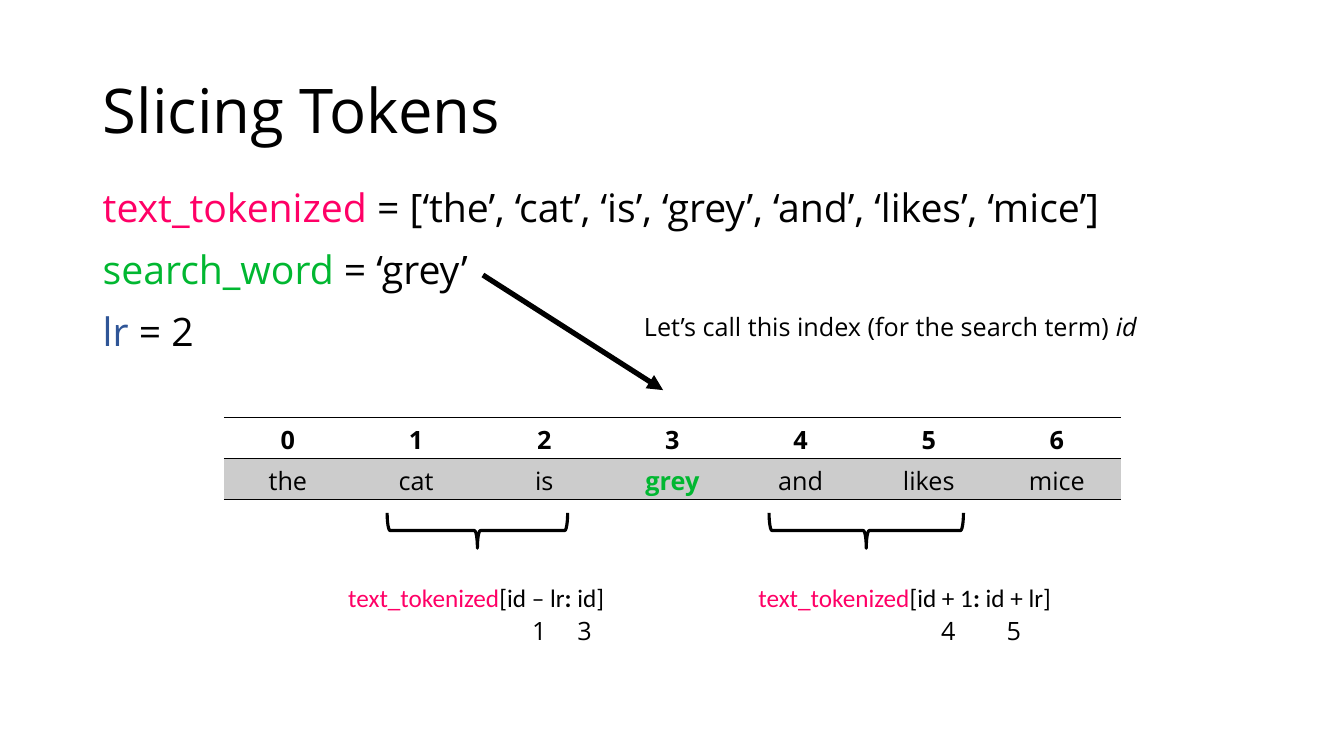
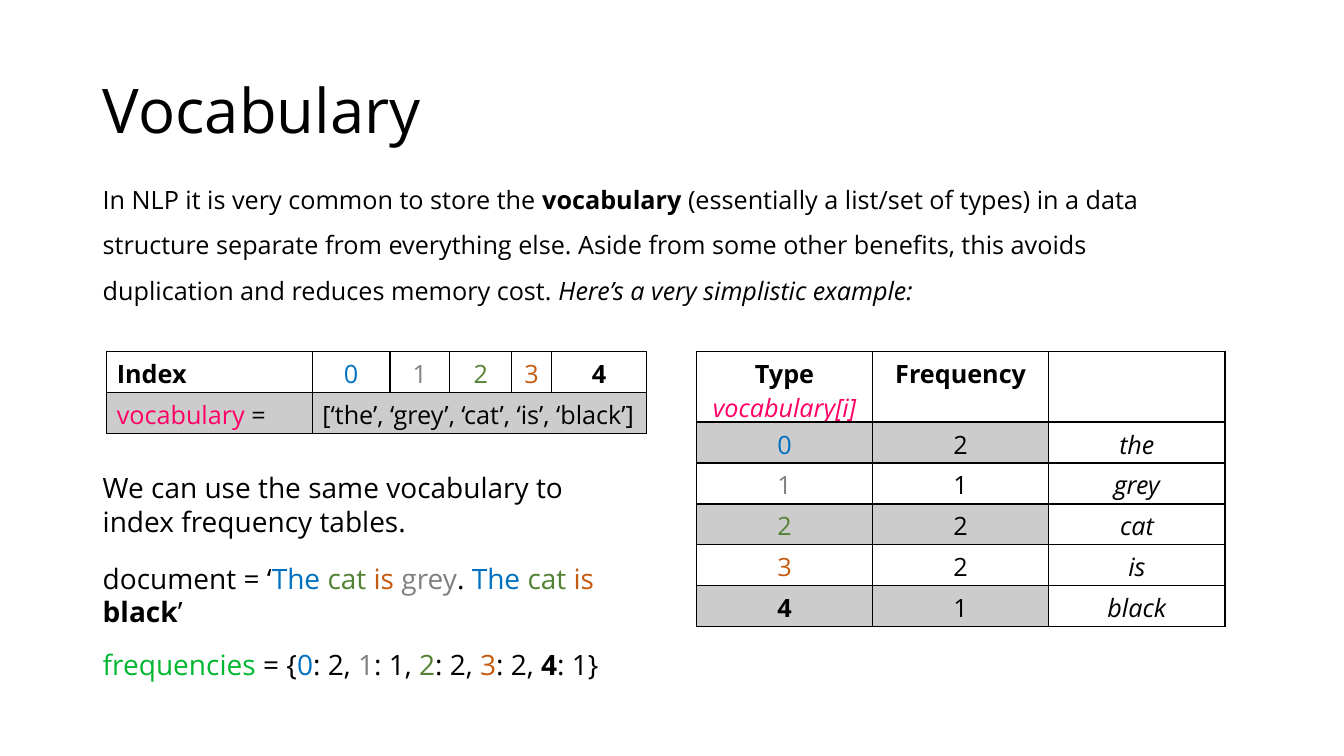
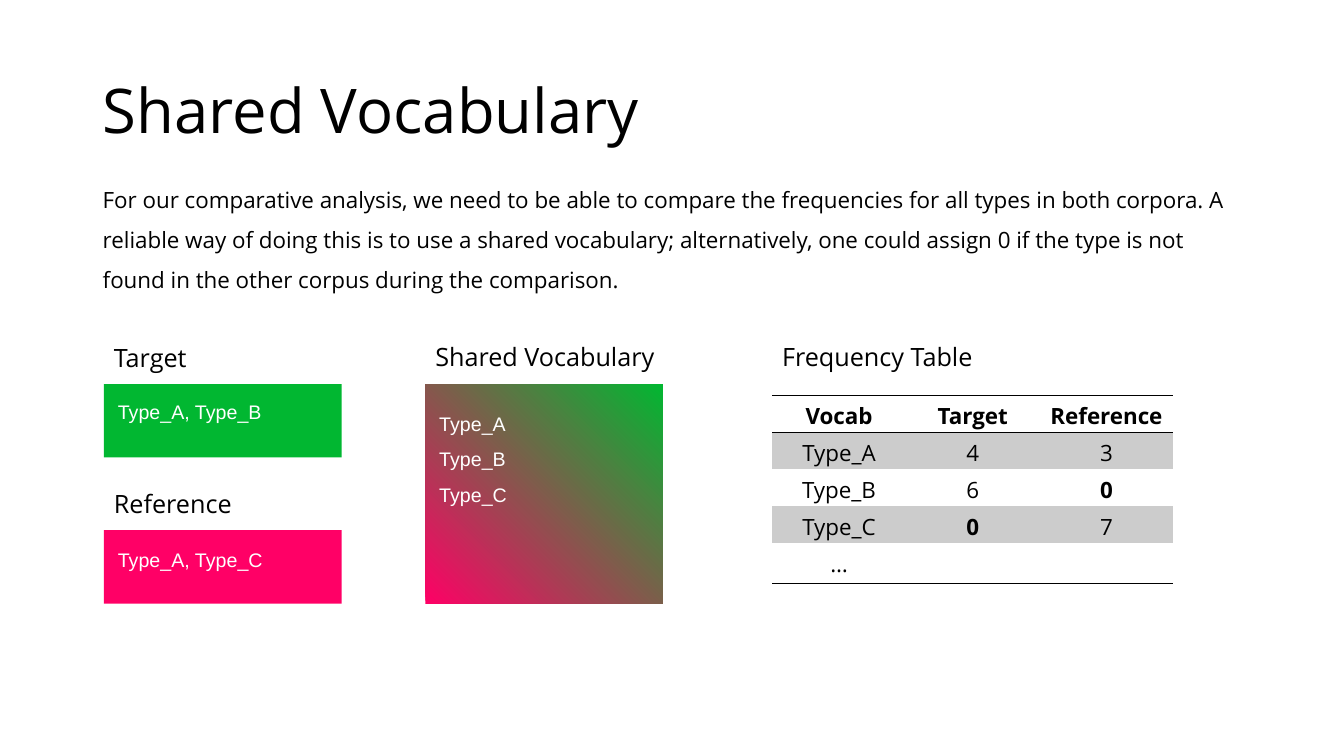
from lxml import etree
from pptx import Presentation
from pptx import util as u
from pptx.dml.color import RGBColor
from pptx.enum import shapes, text
from pptx.oxml.ns import qn

COLORS = {
    "black": "000000", "white": "FFFFFF", "shade": "CCCCCC",
    "pink": "FF0066", "green": "01B731", "navy": "2F5597",
    "blue": "0070C0", "gray": "808080", "leaf": "548235", "rust": "C55A11",
}
FONT = "Open Sans"
NO_STYLE = "{2D5ABB26-0587-4C30-8999-92F81FD0307C}"
LEFT = 2.34
BOLD, ITALIC = dict(bold=True), dict(italic=True)


def ink(content, color, **style):
    return content, dict(color=color, **style)


ASSIGNMENTS = [
    [ink("text_tokenized", "pink"),
     " = [‘the’, ‘cat’, ‘is’, ‘grey’, ‘and’, ‘likes’, ‘mice’]"],
    [ink("search_word ", "green"), "= ‘grey’"],
    [ink("lr ", "navy"), "= 2"],
]
TOKEN_ROWS = [
    list("0123456"),
    ["the", "cat", "is", [ink("grey", "green", bold=True)], "and", "likes", "mice"],
]
INDEX_NOTE = ["Let’s call this index (for the search term) ", ("id", ITALIC)]
SLICES = [
    dict(brace=(12.03, 4.55), box=(8.48, 7.04), start="[id – lr", end=" id]",
         numbers=[("1", 13.16), ("3", 14.3)]),
    dict(brace=(21.83, 4.9), box=(17.4, 10.8), start="[id + 1", end=" id + lr]",
         numbers=[("4", 23.47), ("5", 25.12)]),
]

VOCABULARY_INTRO = [
    "In NLP it is very common to store the ", ("vocabulary ", BOLD),
    "(essentially a list/set of types) in a data structure separate from everything "
    "else. Aside from some other benefits, this avoids duplication and reduces memory cost. ",
    ("Here’s a very simplistic example:", ITALIC),
]
TYPES = [("the", "blue", 2), ("grey", "gray", 1), ("cat", "leaf", 2),
         ("is", "rust", 2), ("black", "black", 1)]
INDEXES = [ink(str(index), color, bold=color == "black")
           for index, (word, color, count) in enumerate(TYPES)]
INDEX_ROWS = [
    ["Index"] + [[index] for index in INDEXES[:-1]] + ["4"],
    [[ink("vocabulary", "pink"), " ="],
     "[" + ", ".join(f"‘{word}’" for word, color, count in TYPES) + "]"],
]
FREQUENCY_ROWS = [
    [["Type ", ink("vocabulary[i]", "pink", bold=False, italic=True)], "Frequency", ""],
] + [[[index], str(count), [(word, ITALIC)]]
     for index, (word, color, count) in zip(INDEXES, TYPES)]
REUSE = "We can use the same vocabulary to index frequency tables."
THE_CAT_IS = [ink("The ", "blue"), ink("cat ", "leaf"), ink("is ", "rust")]
DOCUMENT = (["document = ‘"] + THE_CAT_IS + [ink("grey", "gray"), ". "]
            + THE_CAT_IS + [("black", BOLD), "’"])
FREQUENCIES = [ink("frequencies", "green"), " = {"]
for index, (word, color, count) in zip(INDEXES, TYPES):
    FREQUENCIES += [index, f": {count}" + ("}" if word == "black" else ", ")]

SHARED_INTRO = (
    "For our comparative analysis, we need to be able to compare the frequencies for all "
    "types in both corpora. A reliable way of doing this is to use a shared vocabulary; "
    "alternatively, one could assign 0 if the type is not found in the other corpus during "
    "the comparison."
)
CORPORA = [("Target", "Type_A, Type_B", "green", 8.51, 9.96),
           ("Reference", "Type_A, Type_C", "pink", 12.19, 13.67)]
SHARED_TYPES = ["Type_A", "Type_B", "Type_C"]
SHARED_ROWS = [
    ["Vocab", "Target", "Reference"],
    ["Type_A", "4", "3"],
    ["Type_B", "6", [("0", BOLD)]],
    ["Type_C", [("0", BOLD)], "7"],
    ["…", "", ""],
]

presentation = Presentation()
presentation.slide_width, presentation.slide_height = u.Cm(33.87), u.Cm(19.05)


def rgb(color):
    return RGBColor.from_string(COLORS[color])


def cm(*lengths):
    return [u.Cm(length) for length in lengths]


def write(frame, paragraphs, align=text.PP_ALIGN.LEFT, spacing=None, **style):
    for number, runs in enumerate(paragraphs):
        paragraph = frame.add_paragraph() if number else frame.paragraphs[0]
        paragraph.alignment = align
        if spacing:
            paragraph.line_spacing = spacing
        for item in [runs] if isinstance(runs, str) else runs:
            content, extra = (item, {}) if isinstance(item, str) else item
            look = dict(size=18, font=FONT, color="black", bold=False, italic=False)
            look.update(style)
            look.update(extra)
            run = paragraph.add_run()
            run.text = content
            run.font.name, run.font.size = look["font"], u.Pt(look["size"])
            run.font.bold, run.font.italic = look["bold"], look["italic"]
            run.font.color.rgb = rgb(look["color"])


def add_slide(title, width=29.21):
    slide = presentation.slides.add_slide(presentation.slide_layouts[5])
    shape = slide.shapes.title
    shape.left, shape.top, shape.width, shape.height = cm(LEFT, 1.02, width, 3.68)
    shape.text_frame.auto_size = text.MSO_AUTO_SIZE.NONE
    shape.text_frame.vertical_anchor = text.MSO_ANCHOR.MIDDLE
    write(shape.text_frame, [title], size=44, spacing=0.9)
    return slide


def add_text(slide, box, *paragraphs, **style):
    frame = slide.shapes.add_textbox(*cm(*box)).text_frame
    frame.word_wrap = True
    frame.auto_size = text.MSO_AUTO_SIZE.SHAPE_TO_FIT_TEXT
    write(frame, paragraphs, **style)


def add_block(slide, box, kind=shapes.MSO_SHAPE.RECTANGLE, color=None):
    shape = slide.shapes.add_shape(kind, *cm(*box))
    shape.shadow.inherit = False
    shape.line.fill.background()
    if color:
        shape.fill.solid()
        shape.fill.fore_color.rgb = rgb(color)
    return shape


def add_borders(cell, widths):
    properties = cell._tc.get_or_add_tcPr()
    for side in "LRTB":
        width = widths.get(side)
        line = etree.SubElement(properties, qn("a:ln" + side), w=str(u.Pt(width or 0)))
        if width:
            fill = etree.SubElement(line, qn("a:solidFill"))
            etree.SubElement(fill, qn("a:srgbClr"), val=COLORS["black"])
        else:
            etree.SubElement(line, qn("a:noFill"))


def add_table(slide, left, top, columns, row_height, height, rows, rules, shaded,
              shaded_columns=9, grid=False, left_cells=(), merge=None, size=18):
    frame = slide.shapes.add_table(
        len(rows), len(columns), *cm(left, top, sum(columns), row_height * len(rows)))
    table = frame.table
    table.first_row = table.horz_banding = False
    table._tbl.tblPr.find(qn("a:tableStyleId")).text = NO_STYLE
    for column, width in zip(table.columns, columns):
        column.width = u.Cm(width)
    for row in table.rows:
        row.height = u.Cm(row_height)
    if merge:
        table.cell(*merge[0]).merge(table.cell(*merge[1]))
    for r, contents in enumerate(rows):
        for c in range(len(columns)):
            cell = table.cell(r, c)
            side = 1 if grid else 0
            add_borders(cell, dict(L=side, R=side, T=rules.get(r), B=rules.get(r + 1)))
            if r in shaded and c < shaded_columns:
                cell.fill.solid()
                cell.fill.fore_color.rgb = rgb("shade")
            else:
                cell.fill.background()
            if c < len(contents) and contents[c]:
                align = text.PP_ALIGN.LEFT if (r, c) in left_cells else text.PP_ALIGN.CENTER
                write(cell.text_frame, [contents[c]], align=align, size=size, bold=r == 0)
    frame.height = u.Cm(height)


def add_arrow(slide, start, end):
    arrow = slide.shapes.add_connector(shapes.MSO_CONNECTOR.STRAIGHT, *cm(*start, *end))
    arrow.line.width = u.Pt(3.75)
    arrow.line.color.rgb = rgb("black")
    etree.SubElement(arrow.line._get_or_add_ln(), qn("a:tailEnd"), type="triangle")
    etree.SubElement(arrow._element.spPr, qn("a:effectLst"))


def add_brace(slide, center, length):
    depth, middle = 0.89, 13.37
    brace = add_block(slide, (center - depth / 2, middle - length / 2, depth, length),
                      kind=shapes.MSO_SHAPE.RIGHT_BRACE)
    brace.rotation = 90
    brace.fill.background()
    brace.line.color.rgb = rgb("black")
    brace.line.width = u.Pt(2.25)


slicing = add_slide("Slicing Tokens", width=16.64)
for number, assignment in enumerate(ASSIGNMENTS):
    add_text(slicing, (LEFT, 4.5 + 1.56 * number, 29.01, 1.45), assignment, size=28)
add_table(slicing, 5.64, 10.52, [3.23] * 7, 1.03, 2.06, TOKEN_ROWS,
          rules={0: 1, 1: 1, 2: 1}, shaded={1})
add_arrow(slicing, (12.17, 6.93), (16.71, 9.83))
add_text(slicing, (15.98, 7.72, 13.64, 1.02), INDEX_NOTE)
for part in SLICES:
    add_brace(slicing, *part["brace"])
    left, width = part["box"]
    formula = [ink("text_tokenized", "pink"), part["start"], (":", BOLD), part["end"]]
    add_text(slicing, (left, 14.55, width, 1.02), formula,
             font="Calibri", align=text.PP_ALIGN.CENTER)
    for digit, left in part["numbers"]:
        add_text(slicing, (left, 15.39, 0.97, 1.02), digit)

vocabulary = add_slide("Vocabulary")
add_text(vocabulary, (LEFT, 4.14, 28.42, 3.61), VOCABULARY_INTRO, spacing=1.5)
add_table(vocabulary, 2.69, 8.86, [5.18, 1.96, 1.5, 1.57, 0.99, 2.41], 1.03, 2.08,
          INDEX_ROWS, rules={0: 1, 1: 1, 2: 1}, shaded={1}, grid=True,
          left_cells={(0, 0), (1, 0), (1, 1)}, merge=((1, 1), (1, 5)))
add_text(vocabulary, (LEFT, 11.73, 12.62, 1.96), REUSE, size=20)
add_text(vocabulary, (LEFT, 14.02, 13.31, 1.96), DOCUMENT, size=20)
add_text(vocabulary, (LEFT, 16.18, 13.31, 1.12), FREQUENCIES, size=20)
add_table(vocabulary, 17.55, 8.86, [4.44] * 3, 1.03, 6.93, FREQUENCY_ROWS,
          rules={0: 1, 1: 2, 2: 1, 3: 1, 4: 1, 5: 1, 6: 1}, shaded={1, 3, 5},
          shaded_columns=2, grid=True)

shared = add_slide("Shared Vocabulary")
add_text(shared, (LEFT, 4.22, 29.21, 3.23), SHARED_INTRO, size=16, spacing=1.5)
for name, types, color, label_top, types_top in CORPORA:
    add_block(shared, (2.62, label_top + 1.17, 5.99, 1.85), color=color)
    add_text(shared, (2.62, label_top, 5.11, 1.02), name)
    add_text(shared, (2.72, types_top, 5.79, 0.86), types,
             size=14, font="Arial", color="white")
blend = add_block(shared, (10.72, 9.68, 5.99, 5.54))
blend.fill.gradient()
blend.fill.gradient_angle = 45
for stop, color, position in zip(blend.fill.gradient_stops, ("pink", "green"), (0, 1)):
    stop.color.rgb = rgb(color)
    stop.position = position
add_text(shared, (10.82, 9.96, 5.79, 2.84), *SHARED_TYPES,
         size=14, font="Arial", color="white", spacing=1.5)
for heading, left in (("Shared Vocabulary", 10.72), ("Frequency Table", 19.46)):
    add_text(shared, (left, 8.48, 6.43, 1.02), heading)
add_table(shared, 19.46, 9.96, [3.37] * 3, 0.89, 4.65, SHARED_ROWS,
          rules={0: 1, 1: 1, 5: 1}, shaded={1, 3}, size=16)

presentation.save("out.pptx")
